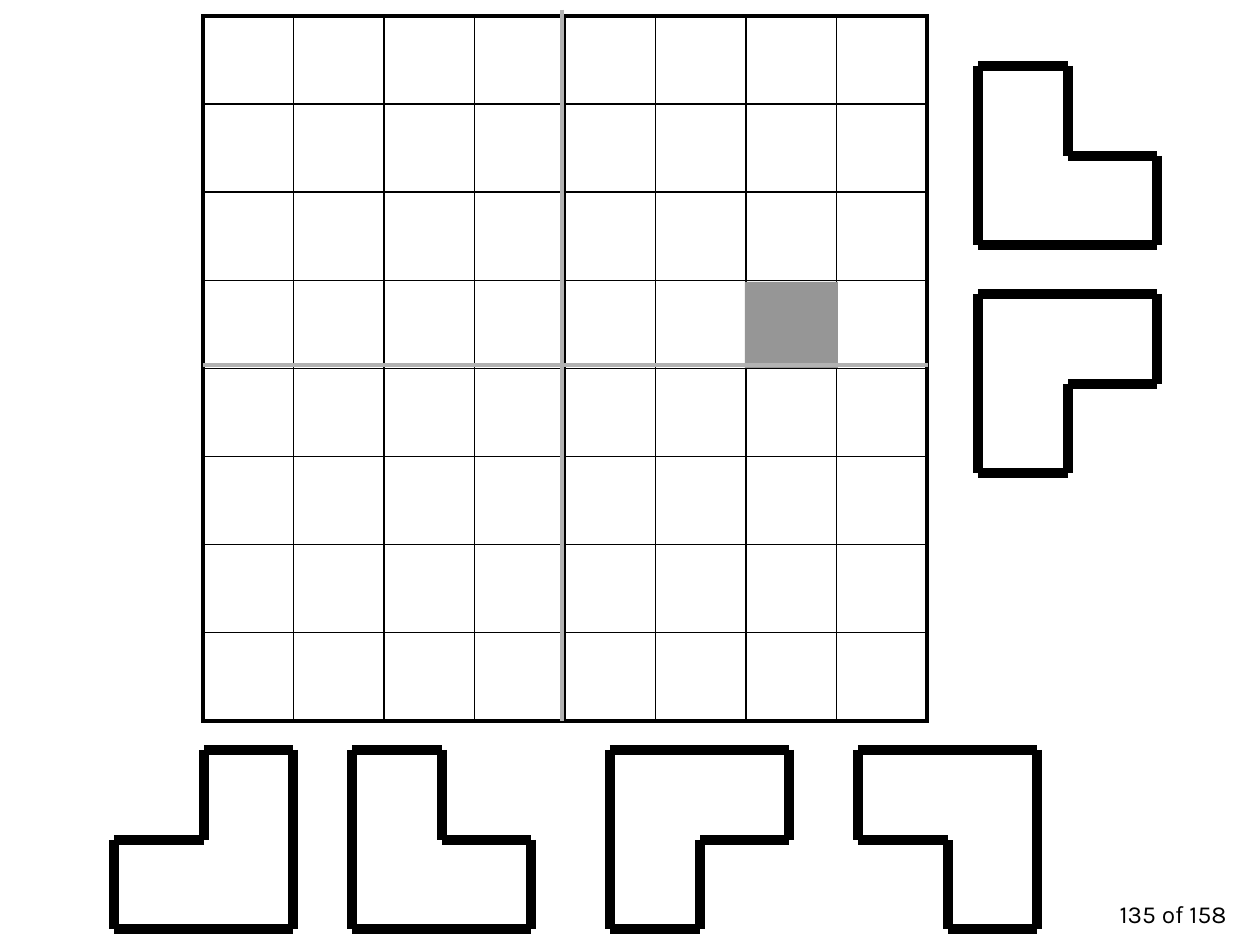
import pptx
import pptx.util
import pptx.dml.color
import pptx.enum.shapes
import pptx.enum.text
import pptx.oxml
import pptx.oxml.ns

SCALE = 914400 / 126


def px(num):
    return pptx.util.Emu(round(num * SCALE))


def rgb(hue):
    return pptx.dml.color.RGBColor.from_string(hue)


deck = pptx.Presentation()
deck.slide_width, deck.slide_height = px(1260), px(945)
slide = deck.slides.add_slide(deck.slide_layouts[6])

box = slide.shapes.add_textbox(px(977), px(872), px(262), px(63))
frame = box.text_frame
form = {"word_wrap": True, "vertical_anchor": pptx.enum.text.MSO_ANCHOR.BOTTOM}
for key, val in form.items():
    setattr(frame, key, val)
para = frame.paragraphs[0]
para.text = "135 of 158"
para.alignment = pptx.enum.text.PP_ALIGN.RIGHT
for key, val in {"name": "Karla", "size": pptx.util.Pt(14)}.items():
    setattr(para.font, key, val)
para.font.color.rgb = rgb("000000")

count = 8
wide, high = px(724), px(705)
board = slide.shapes.add_table(count, count, px(203), px(16), wide, high).table
for key in ("first_row", "horz_banding"):
    setattr(board, key, False)
for col in board.columns:
    col.width = wide // count
for row in board.rows:
    row.height = high // count
for r in range(count):
    for c in range(count):
        cell = board.cell(r, c)
        cell.fill.background()
        props = cell._tc.get_or_add_tcPr()
        edges = {"L": c == 0, "R": c == count - 1, "T": r == 0, "B": r == count - 1}
        for spot, (side, outer) in enumerate(edges.items()):
            width = pptx.util.Pt(2.25 if outer else 1)
            props.insert(spot, pptx.oxml.parse_xml(
                f'<a:ln{side} {pptx.oxml.ns.nsdecls("a")} w="{width}">'
                '<a:solidFill><a:srgbClr val="000000"/></a:solidFill>'
                f'</a:ln{side}>'))

lines = []
gray = ("B2B2B2", 2.25)
black = ("000000", 6)
lines.append((slide.shapes, (562, 10), (562, 721), gray))

steps = (0, 90, 179)
forms = {
    "top left": [(1, 0), (2, 0), (2, 2), (0, 2), (0, 1), (1, 1)],
    "top right": [(0, 0), (1, 0), (1, 1), (2, 1), (2, 2), (0, 2)],
    "low right": [(0, 0), (2, 0), (2, 1), (1, 1), (1, 2), (0, 2)],
    "low left": [(0, 0), (2, 0), (2, 2), (1, 2), (1, 1), (0, 1)],
}
tiles = [
    (114, 750, "top left"),
    (352, 750, "top right"),
    (610, 750, "low right"),
    (858, 750, "low left"),
    (978, 294, "low right"),
    (978, 66, "top right"),
]
for left, top, gap in tiles:
    group = slide.shapes.add_group_shape()
    spots = [(left + steps[x], top + steps[y]) for x, y in forms[gap]]
    for start, end in zip(spots, spots[1:] + spots[:1]):
        lines.append((group.shapes, start, end, black))

rect = pptx.enum.shapes.MSO_SHAPE.RECTANGLE
square = slide.shapes.add_shape(rect, px(745), px(282), px(93), px(86))
square.shadow.inherit = False
square.fill.solid()
square.fill.fore_color.rgb = rgb("969696")
square.line.fill.background()

lines.append((slide.shapes, (203, 365), (928, 365), gray))
straight = pptx.enum.shapes.MSO_CONNECTOR.STRAIGHT
for shapes, start, end, (hue, width) in lines:
    line = shapes.add_connector(straight, *map(px, start + end))
    line.line.color.rgb = rgb(hue)
    line.line.width = pptx.util.Pt(width)
    line._element.spPr.append(pptx.oxml.parse_xml(
        f'<a:effectLst {pptx.oxml.ns.nsdecls("a")}/>'))

deck.save("out.pptx")
